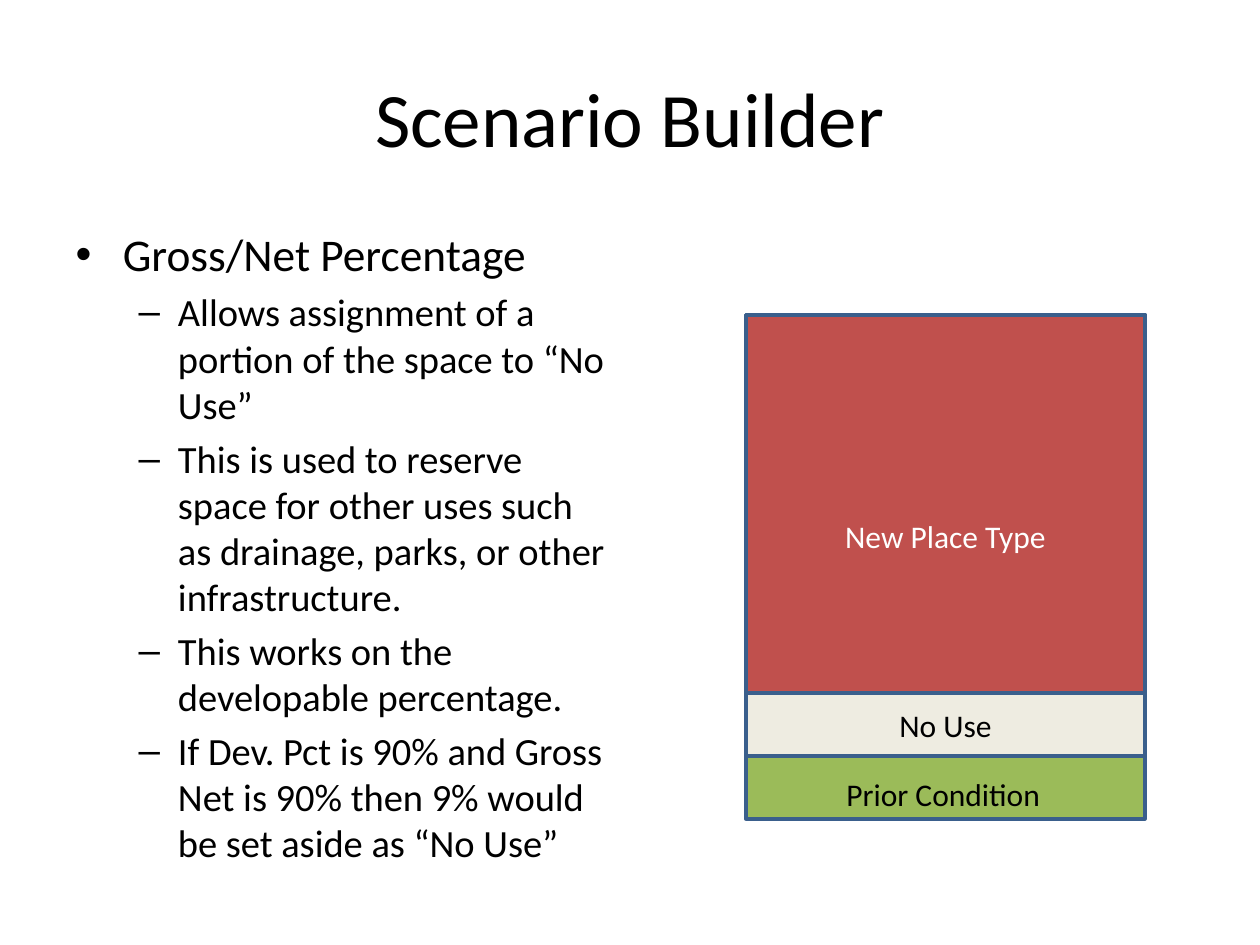
from pptx import Presentation
from pptx import util as u
from pptx.dml.color import RGBColor
from pptx.enum import shapes, text

TITLE = "Scenario Builder"
LIST = [
    (0, "Gross/Net Percentage"),
    (1, "Allows assignment of a portion of the space to “No Use”"),
    (1, "This is used to reserve space for other uses such as drainage, parks, or other infrastructure."),
    (1, "This works on the developable percentage."),
    (1, "If Dev. Pct is 90% and Gross Net is 90% then 9% would be set aside as “No Use”"),
]
SIZES = (25.9, 22)
LEFT, WIDE = 746, 399
BLOCKS = [
    ("", 315, 504, "9BBB59", "000000"),
    ("New Place Type", 315, 441, "C0504D", "FFFFFF"),
    ("No Use", 693, 63, "EEECE1", "000000"),
]
PRIOR = "Prior Condition"
EDGE = "3A5F8C"


def px(n):
    return round(n * 914400 / 126)


def tint(code):
    return RGBColor.from_string(code)


def place(shape, *box):
    shape.left, shape.top, shape.width, shape.height = map(px, box)


def write(par, words, size=18, color="000000", align=None, level=0):
    par.text = words
    par.level = level
    par.alignment = align
    font = par.font
    font.name, font.size = "Calibri", u.Pt(size)
    font.color.rgb = tint(color)


deck = Presentation()
deck.slide_width, deck.slide_height = px(1260), px(945)
slide = deck.slides.add_slide(deck.slide_layouts[1])
mid = text.PP_ALIGN.CENTER

title = slide.shapes.title
place(title, 63, 38, 1134, 157)
write(title.text_frame.paragraphs[0], TITLE, size=44, align=mid)

body = slide.placeholders[1]
place(body, 63, 220, 557, 693)
frame = body.text_frame
frame.auto_size = text.MSO_AUTO_SIZE.NONE
for i, (level, words) in enumerate(LIST):
    par = frame.add_paragraph() if i else frame.paragraphs[0]
    write(par, words, size=SIZES[level], level=level)
frame.paragraphs[0].space_before = u.Pt(0)

for words, top, high, fill, ink in BLOCKS:
    block = slide.shapes.add_shape(
        shapes.MSO_SHAPE.RECTANGLE, px(LEFT), px(top), px(WIDE), px(high))
    block.shadow.inherit = False
    block.fill.solid()
    block.fill.fore_color.rgb = tint(fill)
    block.line.color.rgb = tint(EDGE)
    block.line.width = u.Pt(2)
    if words:
        write(block.text_frame.paragraphs[0], words, color=ink, align=mid)

label = slide.shapes.add_textbox(px(834), px(769), px(222), px(50))
label.text_frame.word_wrap = False
label.text_frame.auto_size = text.MSO_AUTO_SIZE.SHAPE_TO_FIT_TEXT
write(label.text_frame.paragraphs[0], PRIOR)

deck.save("out.pptx")
